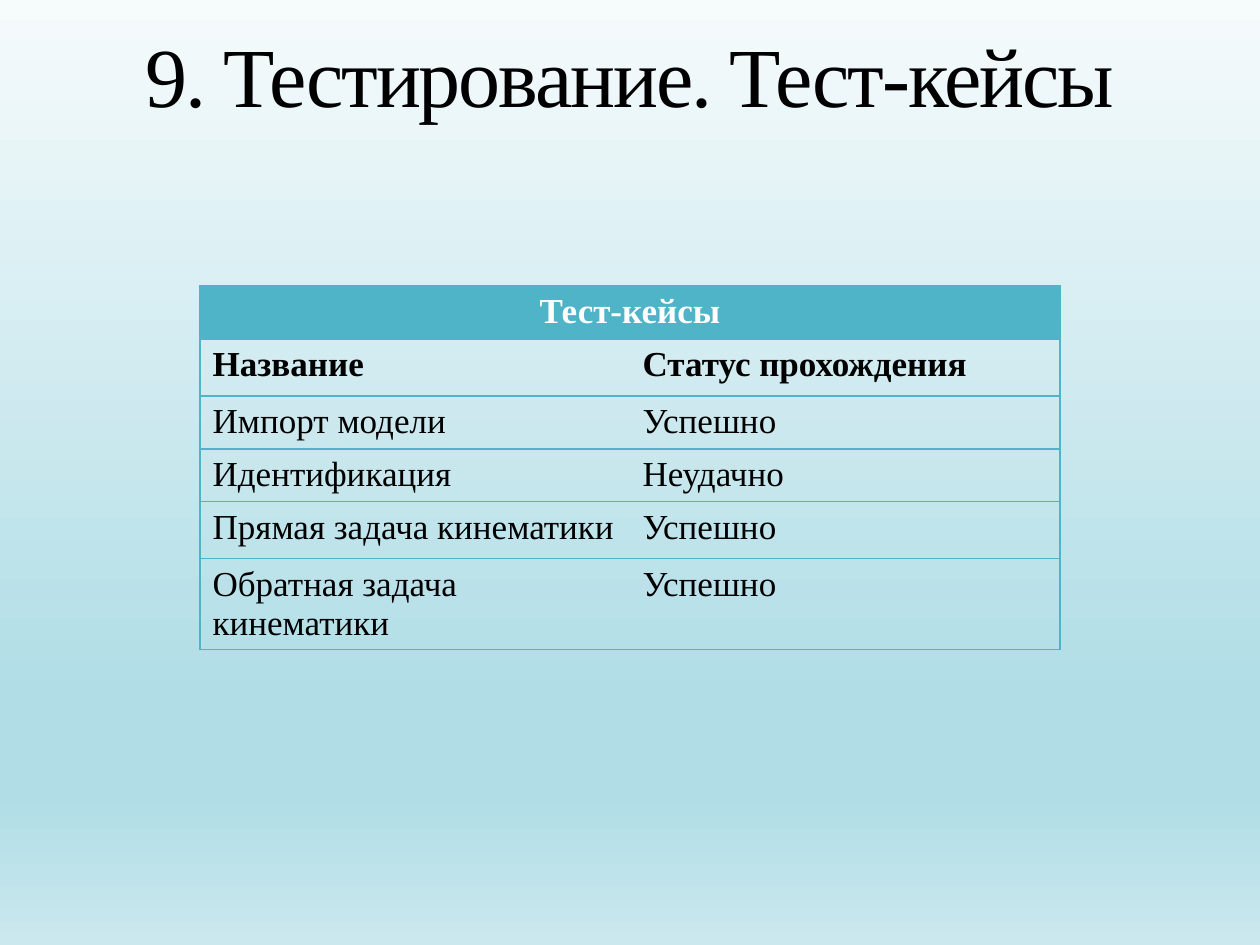
from lxml.etree import SubElement
from pptx import Presentation
from pptx.dml.color import RGBColor
from pptx.enum.text import MSO_ANCHOR, PP_ALIGN
from pptx.oxml.ns import qn
from pptx.util import Pt

PX = 914400 // 126
FONT = "Times New Roman"
BLACK = RGBColor(0x00, 0x00, 0x00)
WHITE = RGBColor(0xFF, 0xFF, 0xFF)
TEAL = RGBColor(0x50, 0xB4, 0xC8)
PALE = RGBColor(0xF6, 0xFB, 0xFC)
AQUA = RGBColor(0xB0, 0xDD, 0xE6)
MIST = RGBColor(0xCB, 0xE8, 0xEE)
BACKGROUND_STOPS = [(0, PALE), (74, AQUA), (84, AQUA), (100, MIST)]
NO_GRID_STYLE = "{2D5ABB26-0587-4C30-8999-92F81FD0307C}"

HEADING = "Тест-кейсы"
ROWS = [
    ("Название", "Статус прохождения"),
    ("Импорт модели", "Успешно"),
    ("Идентификация", "Неудачно"),
    ("Прямая задача кинематики", "Успешно"),
    ("Обратная задача кинематики", "Успешно"),
]
ROW_HEIGHTS = [53, 57, 53, 53, 57, 90]
COLUMN_WIDTH = 430


def px(n):
    return n * PX


def add_color(parent, color):
    SubElement(parent, qn("a:srgbClr"), val=str(color))


def set_background(s):
    fill = s.background.fill
    fill.gradient()
    fill.gradient_angle = 270
    stops = next(s.element.iter(qn("a:gsLst")))
    stops[:] = []
    for pos, color in BACKGROUND_STOPS:
        add_color(SubElement(stops, qn("a:gs"), pos=str(pos * 1000)), color)


def set_text(tf, text, size=20, color=BLACK, bold=False, align=PP_ALIGN.LEFT,
             line_spacing=None, char_spacing=None):
    p = tf.paragraphs[0]
    p.alignment = align
    p.line_spacing = line_spacing
    r = p.add_run()
    r.text = text
    r.font.name = FONT
    r.font.size = Pt(size)
    r.font.bold = bold
    r.font.color.rgb = color
    if char_spacing is not None:
        r.font._element.set("spc", str(round(char_spacing * 100)))


def set_borders(cell, sides):
    """Draw the given sides, named in schema order from L, R, T, B."""
    tcPr = cell._tc.get_or_add_tcPr()
    for side in sides:
        ln = SubElement(tcPr, qn(f"a:ln{side}"), w=str(Pt(0.75)))
        add_color(SubElement(ln, qn("a:solidFill")), TEAL)


def add_title(s, text):
    sp = s.shapes.title
    sp.left, sp.top, sp.width, sp.height = 0, 0, px(1260), px(161)
    sp.text_frame.vertical_anchor = MSO_ANCHOR.MIDDLE
    set_text(sp.text_frame, text, size=48, align=PP_ALIGN.CENTER,
             line_spacing=0.9, char_spacing=-1.2)


def add_test_table(s, left, top):
    frame = s.shapes.add_table(len(ROW_HEIGHTS), 2, px(left), px(top),
                               px(2 * COLUMN_WIDTH), px(sum(ROW_HEIGHTS)))
    table = frame.table
    table.horz_banding = False
    next(table._tbl.iter(qn("a:tableStyleId"))).text = NO_GRID_STYLE
    for column in table.columns:
        column.width = px(COLUMN_WIDTH)
    for row, height in zip(table.rows, ROW_HEIGHTS):
        row.height = px(height)

    # Merged heading row
    heading = table.cell(0, 0)
    heading.merge(table.cell(0, 1))
    set_text(heading.text_frame, HEADING, color=WHITE, bold=True,
             align=PP_ALIGN.CENTER)
    set_borders(heading, "LRTB")
    heading.fill.solid()
    heading.fill.fore_color.rgb = TEAL

    # Column names and results, ruled between rows only
    for i, values in enumerate(ROWS, start=1):
        for j, value in enumerate(values):
            cell = table.cell(i, j)
            set_text(cell.text_frame, value, bold=i == 1)
            set_borders(cell, "LR"[j] + "TB")
            cell.fill.background()


def main():
    prs = Presentation()
    prs.slide_width, prs.slide_height = px(1260), px(945)
    s = prs.slides.add_slide(prs.slide_layouts[5])
    set_background(s)
    add_title(s, "9. Тестирование. Тест-кейсы")
    add_test_table(s, 200, 286)
    prs.save("out.pptx")


if __name__ == "__main__":
    main()
